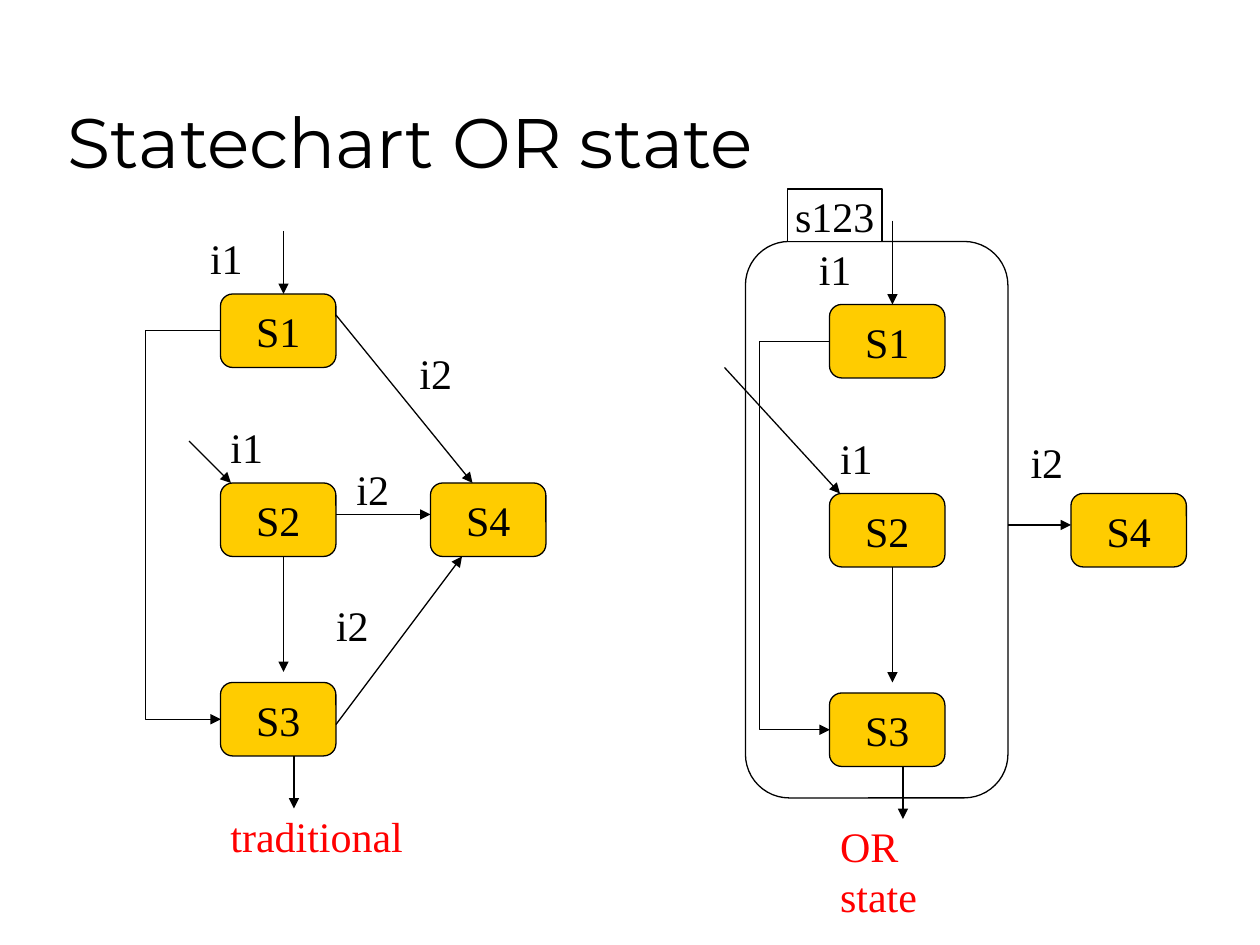
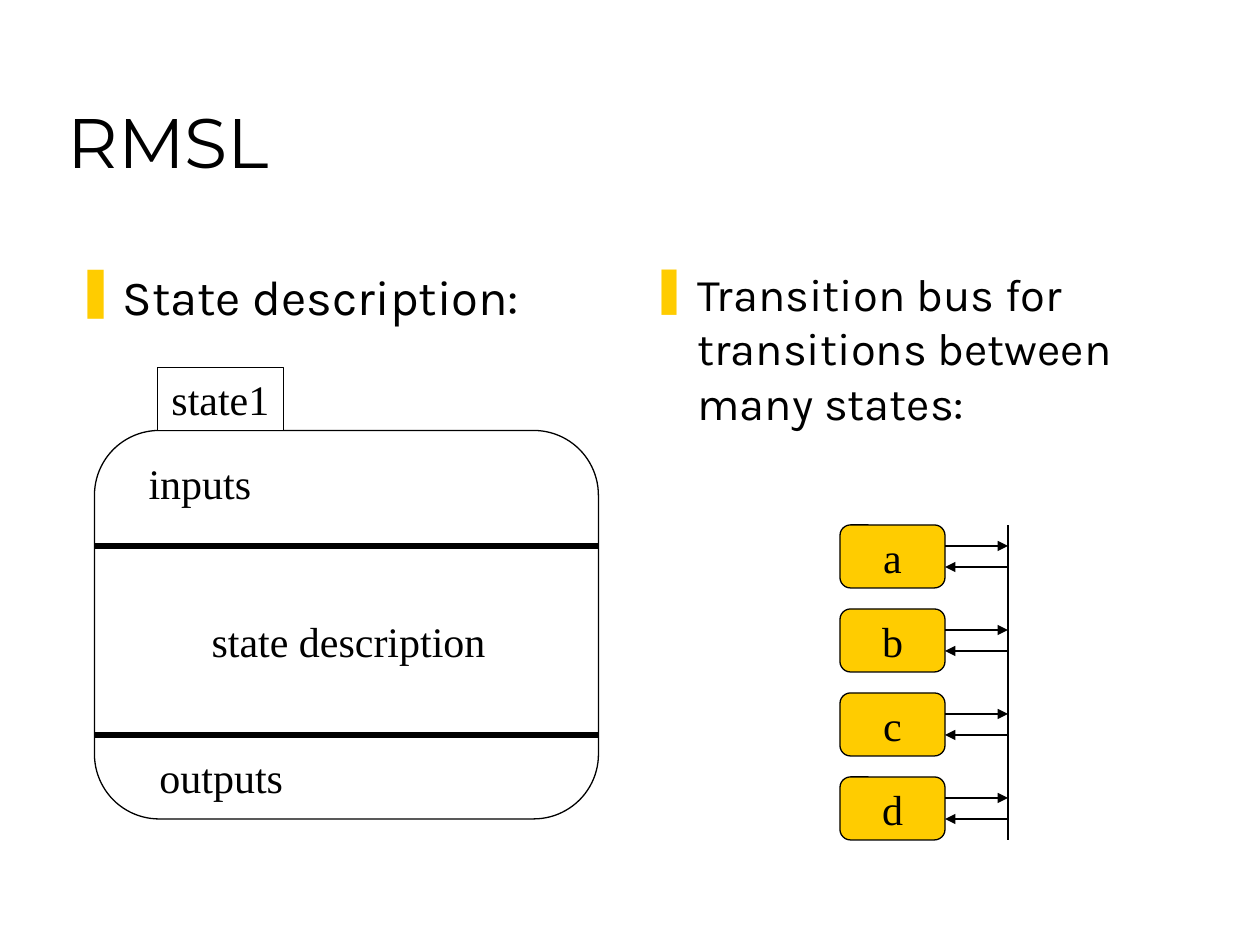
from lxml import etree
from pptx import Presentation
from pptx.dml.color import RGBColor
from pptx.enum import shapes, text
from pptx.oxml import ns
from pptx.util import Pt

BLACK = RGBColor(0, 0, 0)
WHITE = RGBColor(255, 255, 255)
RED = RGBColor(255, 0, 0)
YELLOW = RGBColor(255, 204, 0)
TITLE_FONT, BODY_FONT, DIAGRAM_FONT = "Montserrat", "Karla", "Times New Roman"
RECT = shapes.MSO_SHAPE.RECTANGLE
ROUND = shapes.MSO_SHAPE.ROUNDED_RECTANGLE
LEFT, CENTER = text.PP_ALIGN.LEFT, text.PP_ALIGN.CENTER
TOP, MIDDLE, BOTTOM = (text.MSO_ANCHOR.TOP, text.MSO_ANCHOR.MIDDLE,
                       text.MSO_ANCHOR.BOTTOM)

# Content: boxes are (left, top, width, height), arrows (x1, y1, x2, y2), in points
STATE_W, STATE_H = 66, 42
LABEL_H = 36
CHAIN_STATES = [("S1", 126, 168), ("S2", 126, 276), ("S3", 126, 390)]
CHAIN_ARROWS = [(162, 318, 162, 384), (168, 432, 168, 462)]
LOOP = (126, 189, 411)  # x, start y, end y

TRADITIONAL = {
    "offset": (0, 0), "loop_depth": 43.2, "s4": (246, 276),
    "arrows": [(192, 180, 270, 276), (192, 294, 246, 294), (192, 414, 264, 318),
               (162, 132, 162, 168), (108, 252, 132, 276)],
    "labels": [("i1", 113, 129.6, 33), ("i1", 124.6, 237.6, 33),
               ("i2", 232.6, 195, 33), ("i2", 196.6, 261.4, 33),
               ("i2", 185, 339, 33)],
    "caption": ("traditional", 124.6, 459.4, 113),
}
OR_STATE = {
    "offset": (348, 6), "loop_depth": 40.3, "s4": (612, 282),
    "arrows": [(576, 300, 612, 300), (510, 126, 510, 174), (414, 210, 480, 282)],
    "labels": [("i1", 460.8, 135.4, 33), ("i1", 473, 243.4, 33),
               ("i2", 581.8, 246.2, 33)],
    "caption": ("OR state", 473, 465.1, 97),
}
OR_OUTLINE = (426, 138, 150, 318)
OR_TAB = ("s123", (450, 108, 54, 30))

BULLETS = [("State description:", (36, 148.5, 316, 50), 28),
           ("Transition bus for transitions between many states:",
            (364.5, 148.5, 316, 104), 25.9)]
STATE_OUTLINE = (54, 246, 288, 222)
STATE_TAB = ("state1", (90, 210, 72, 36))
DIVIDERS = [312, 420]
SECTIONS = [("inputs", 77.8, 258, 73), ("state description", 113.8, 348, 171),
            ("outputs", 84, 426, 85)]
BUS_STATES = "abcd"
BUS_LEFT, BUS_TOP, BUS_W, BUS_H, BUS_STEP, BUS_X = 480, 300, 60, 36, 48, 576


def write(sp, words, size=24, font=DIAGRAM_FONT, color=BLACK, align=LEFT,
          anchor=TOP, wrap=False, bullet=False):
    tf = sp.text_frame
    tf.word_wrap = wrap
    tf.vertical_anchor = anchor
    p = tf.paragraphs[0]
    p.alignment = align
    if bullet:
        pPr = p._p.get_or_add_pPr()
        pPr.set("marL", str(Pt(27)))
        pPr.set("indent", str(Pt(-27)))
        clr = etree.SubElement(pPr, ns.qn("a:buClr"))
        etree.SubElement(clr, ns.qn("a:srgbClr"), val=str(YELLOW))
        etree.SubElement(pPr, ns.qn("a:buChar"), char="❚")
    r = p.add_run()
    r.text = words
    r.font.size, r.font.name = Pt(size), font
    r.font.color.rgb = color


def add_text(slide, words, box, **style):
    write(slide.shapes.add_textbox(*map(Pt, box)), words, **style)


def add_box(slide, box, words="", kind=ROUND, fill=YELLOW):
    sp = slide.shapes.add_shape(kind, *map(Pt, box))
    sp.shadow.inherit = False
    sp.fill.solid()
    sp.fill.fore_color.rgb = fill
    sp.line.color.rgb = BLACK
    sp.line.width = Pt(0.75)
    if words:
        write(sp, words, align=CENTER, anchor=MIDDLE)


def add_line(slide, ends, width=0.75, arrow=True,
             kind=shapes.MSO_CONNECTOR.STRAIGHT):
    line = slide.shapes.add_connector(kind, *map(Pt, ends))
    line.line.color.rgb = BLACK
    line.line.width = Pt(width)
    if arrow:
        etree.SubElement(line.line._get_or_add_ln(), ns.qn("a:tailEnd"),
                         type="triangle")
    etree.SubElement(line._element.spPr, ns.qn("a:effectLst"))
    return line


def add_loop(slide, x, y1, y2, depth):
    """Elbow arrow that leaves to the left by depth and comes back."""
    span = 0.2
    line = add_line(slide, (x, y1, x + span, y2),
                    kind=shapes.MSO_CONNECTOR.ELBOW)
    geom = line._element.spPr.find(ns.qn("a:prstGeom"))
    guides = geom.find(ns.qn("a:avLst"))
    etree.SubElement(guides, ns.qn("a:gd"), name="adj1",
                     fmla=f"val {round(-depth / span * 100000)}")


def add_label(slide, words, x, y, w, **style):
    add_text(slide, words, (x, y, w, LABEL_H), **style)


def add_machine(slide, machine):
    dx, dy = machine["offset"]
    states = [(name, x + dx, y + dy) for name, x, y in CHAIN_STATES]
    for name, x, y in states + [("S4", *machine["s4"])]:
        add_box(slide, (x, y, STATE_W, STATE_H), name)
    chain = [(x1 + dx, y1 + dy, x2 + dx, y2 + dy)
             for x1, y1, x2, y2 in CHAIN_ARROWS]
    for ends in chain + machine["arrows"]:
        add_line(slide, ends)
    x, y1, y2 = LOOP
    add_loop(slide, x + dx, y1 + dy, y2 + dy, machine["loop_depth"])
    for label in machine["labels"]:
        add_label(slide, *label)
    add_label(slide, *machine["caption"], color=RED)


def add_tab(slide, words, box):
    add_box(slide, box, words, kind=RECT, fill=WHITE)


def new_slide(prs, title):
    slide = prs.slides.add_slide(prs.slide_layouts[6])
    add_text(slide, title, (31.5, 18, 612, 90), size=40, font=TITLE_FONT,
             anchor=BOTTOM, wrap=True)
    return slide


def or_state_slide(prs):
    slide = new_slide(prs, "Statechart OR state")
    add_box(slide, OR_OUTLINE, fill=WHITE)
    add_machine(slide, TRADITIONAL)
    add_machine(slide, OR_STATE)
    add_tab(slide, *OR_TAB)


def rmsl_slide(prs):
    slide = new_slide(prs, "RMSL")
    for words, box, size in BULLETS:
        add_text(slide, words, box, size=size, font=BODY_FONT, wrap=True,
                 bullet=True)

    # State description
    add_box(slide, STATE_OUTLINE, fill=WHITE)
    add_tab(slide, *STATE_TAB)
    left, _, width, _ = STATE_OUTLINE
    for y in DIVIDERS:
        add_line(slide, (left, y, left + width, y), width=3, arrow=False)
    for section in SECTIONS:
        add_label(slide, *section)

    # Transition bus
    right = BUS_LEFT + BUS_W
    for i, name in enumerate(BUS_STATES):
        y = BUS_TOP + i * BUS_STEP
        add_box(slide, (BUS_LEFT, y, BUS_W, BUS_H), name)
        add_line(slide, (right, y + 12, BUS_X, y + 12))
        add_line(slide, (BUS_X, y + 24, right, y + 24))
    bottom = BUS_TOP + (len(BUS_STATES) - 1) * BUS_STEP + BUS_H
    add_line(slide, (BUS_X, bottom, BUS_X, BUS_TOP), arrow=False)


def main():
    prs = Presentation()
    prs.slide_width, prs.slide_height = Pt(720), Pt(540)
    or_state_slide(prs)
    rmsl_slide(prs)
    prs.save("out.pptx")


if __name__ == "__main__":
    main()
